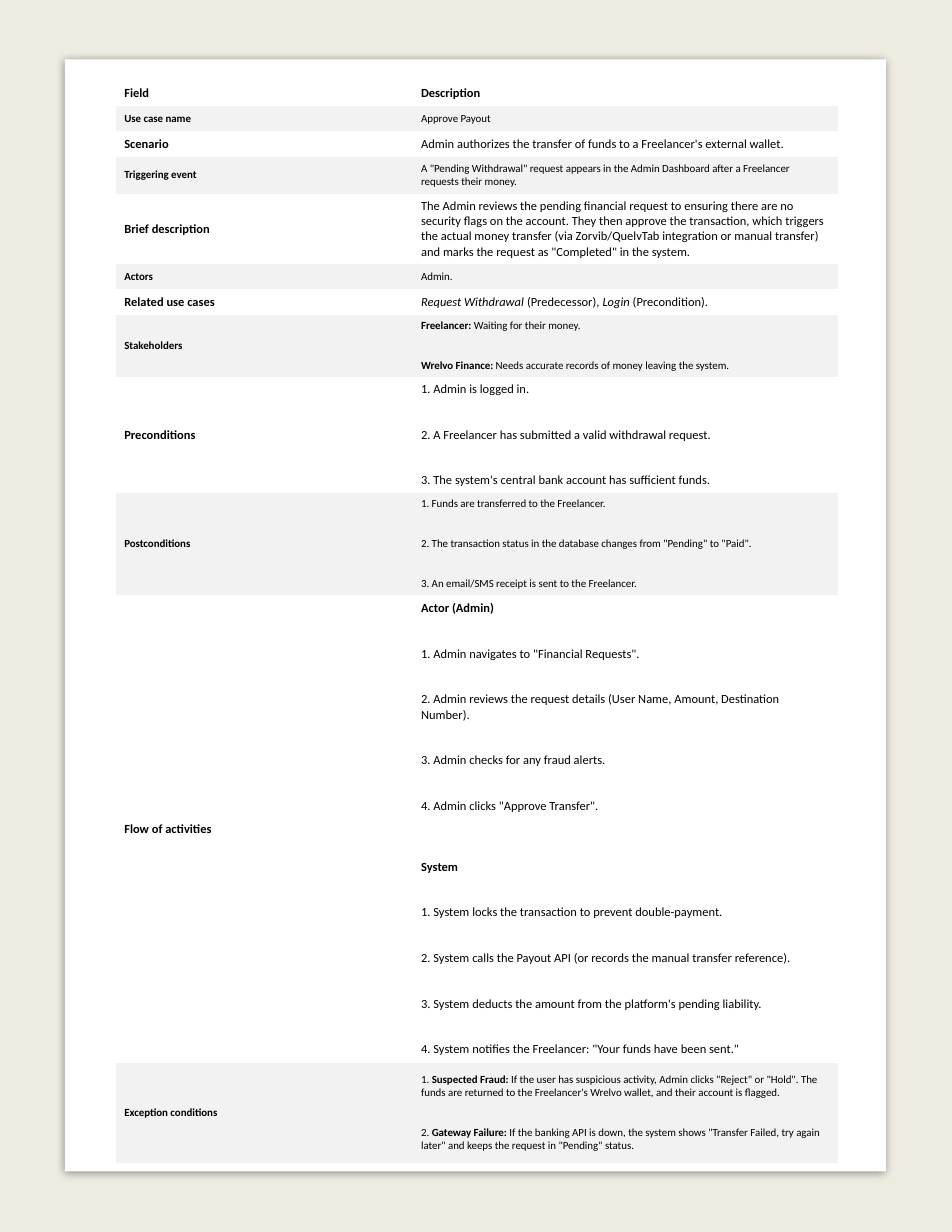
from pptx import Presentation
from pptx.dml.color import RGBColor
from pptx.enum import shapes, text
from pptx.oxml import parse_xml
from pptx.oxml.ns import nsdecls, qn
from pptx.util import Inches, Pt

FONT = "Calibri"
INK, PAGE, PAPER, BAND = "000000", "EEECE1", "FFFFFF", "F2F2F2"
LINE = 1.22  # line height as a multiple of the font size
NO_STYLE = "{2D5ABB26-0587-4C30-8999-92F81FD0307C}"
GAP = ""  # marks a wider break between two lists
COLS = (2.65, 3.79)
MARGINS = {"margin_left": 0.07, "margin_right": 0.08, "margin_top": 0.04, "margin_bottom": 0.04}

# (row height, field, description paragraphs); *bold* and _italic_
ROWS = [
    (0.24, "Field", ["*Description*"]),
    (0.22, "Use case name", ["Approve Payout"]),
    (0.23, "Scenario", ["Admin authorizes the transfer of funds to a Freelancer's external wallet."]),
    (0.33, "Triggering event", [
        'A "Pending Withdrawal" request appears in the Admin Dashboard after a Freelancer '
        "requests their money."]),
    (0.63, "Brief description", [
        "The Admin reviews the pending financial request to ensuring there are no security flags "
        "on the account. They then approve the transaction, which triggers the actual money "
        "transfer (via Zorvib/QuelvTab integration or manual transfer) and marks the request as "
        '"Completed" in the system.']),
    (0.22, "Actors", ["Admin."]),
    (0.23, "Related use cases", ["_Request Withdrawal_ (Predecessor), _Login_ (Precondition)."]),
    (0.56, "Stakeholders", [
        "*Freelancer:* Waiting for their money.",
        "*Wrelvo Finance:* Needs accurate records of money leaving the system."]),
    (1.03, "Preconditions", [
        "1. Admin is logged in.",
        "2. A Freelancer has submitted a valid withdrawal request.",
        "3. The system's central bank account has sufficient funds."]),
    (0.91, "Postconditions", [
        "1. Funds are transferred to the Freelancer.",
        '2. The transaction status in the database changes from "Pending" to "Paid".',
        "3. An email/SMS receipt is sent to the Freelancer."]),
    (4.18, "Flow of activities", [
        "*Actor (Admin)*",
        '1. Admin navigates to "Financial Requests".',
        "2. Admin reviews the request details (User Name, Amount, Destination Number).",
        "3. Admin checks for any fraud alerts.",
        '4. Admin clicks "Approve Transfer".',
        GAP,
        "*System*",
        "1. System locks the transaction to prevent double-payment.",
        "2. System calls the Payout API (or records the manual transfer reference).",
        "3. System deducts the amount from the platform's pending liability.",
        '4. System notifies the Freelancer: "Your funds have been sent."']),
    (0.89, "Exception conditions", [
        '1. *Suspected Fraud:* If the user has suspicious activity, Admin clicks "Reject" or '
        '"Hold". The funds are returned to the Freelancer\'s Wrelvo wallet, and their account '
        "is flagged.",
        '2. *Gateway Failure:* If the banking API is down, the system shows "Transfer Failed, '
        'try again later" and keeps the request in "Pending" status.']),
]


def rgb(value):
    return RGBColor.from_string(value)


def add_rect(s, box, color):
    sp = s.shapes.add_shape(shapes.MSO_SHAPE.RECTANGLE, *map(Inches, box))
    sp.shadow.inherit = False
    sp.fill.solid()
    sp.fill.fore_color.rgb = rgb(color)
    sp.line.fill.background()
    return sp


def add_shadow(sp):
    effects = sp._element.spPr.find(qn("a:effectLst"))
    effects.append(parse_xml(
        f'<a:outerShdw {nsdecls("a")} blurRad="{Pt(5)}" dist="{Pt(1.4)}" dir="5400000" '
        f'rotWithShape="0"><a:srgbClr val="{INK}"><a:alpha val="43000"/></a:srgbClr></a:outerShdw>'))


def add_runs(p, line, size):
    for i, part in enumerate(line.split("*")):
        for j, words in enumerate(part.split("_")):
            if not words:
                continue
            r = p.add_run()
            r.text = words
            r.font.color.rgb = rgb(INK)
            look = {"name": FONT, "size": Pt(size), "bold": i % 2 == 1, "italic": j % 2 == 1}
            for key, value in look.items():
                setattr(r.font, key, value)


def fill_cell(cell, lines, size, banded):
    cell.vertical_anchor = text.MSO_ANCHOR.MIDDLE
    for key, value in MARGINS.items():
        setattr(cell, key, Inches(value))
    if banded:
        cell.fill.solid()
        cell.fill.fore_color.rgb = rgb(BAND)
    else:
        cell.fill.background()
    tf = cell.text_frame
    blank_lines = 0
    for line in lines:
        if line == GAP:
            blank_lines = 3
            continue
        p = tf.add_paragraph() if blank_lines else tf.paragraphs[0]
        p.space_before = Pt(round(blank_lines * LINE * size, 1))
        add_runs(p, line, size)
        blank_lines = 2


def add_use_case(s):
    heights = [row[0] for row in ROWS]
    box = (1.04, 0.71, sum(COLS), sum(heights))
    table = s.shapes.add_table(len(ROWS), len(COLS), *map(Inches, box)).table
    table.first_row = table.horz_banding = False
    table._tbl.tblPr.find(qn("a:tableStyleId")).text = NO_STYLE
    for col, width in zip(table.columns, COLS):
        col.width = Inches(width)
    for i, (height, field, lines) in enumerate(ROWS):
        table.rows[i].height = Inches(height)
        banded = i % 2 == 1
        size = 7 if banded else 8
        fill_cell(table.cell(i, 0), [f"*{field}*"], size, banded)
        fill_cell(table.cell(i, 1), lines, size, banded)


def main():
    prs = Presentation()
    prs.slide_width, prs.slide_height = Inches(8.5), Inches(11)
    s = prs.slides.add_slide(prs.slide_layouts[6])
    add_rect(s, (0, 0, 8.5, 11), PAGE)
    add_shadow(add_rect(s, (0.58, 0.53, 7.33, 9.93), PAPER))
    add_use_case(s)
    prs.save("out.pptx")


if __name__ == "__main__":
    main()
